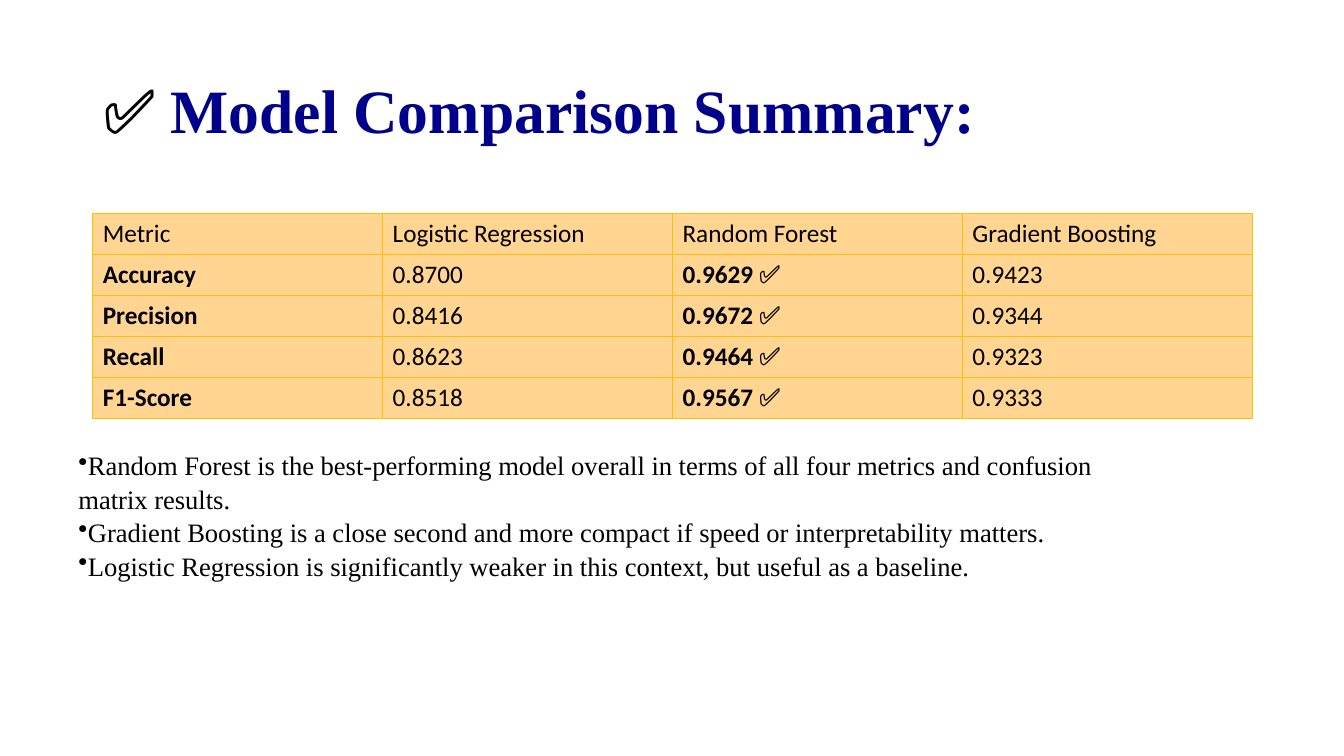
from dataclasses import dataclass

from lxml.etree import SubElement
from pptx import Presentation
from pptx.dml.color import RGBColor
from pptx.enum.text import MSO_ANCHOR as Anchor, MSO_AUTO_SIZE as Fit, PP_ALIGN as Align
from pptx.oxml.ns import qn
from pptx.slide import Slide
from pptx.util import Inches, Pt

BLACK = RGBColor(0x00, 0x00, 0x00)
NAVY = RGBColor(0x00, 0x00, 0x8B)
PEACH = RGBColor(0xFF, 0xD5, 0x91)
GOLD = RGBColor(0xFF, 0xC0, 0x00)
SANS, SERIF = "Calibri", "Times New Roman"
CHECK = "✅"


@dataclass
class Score:
    metric: str
    logistic: str
    forest: str
    boosting: str


HEADS = ["Metric", "Logistic Regression", "Random Forest", "Gradient Boosting"]
SCORES = [
    Score("Accuracy", "0.8700", "0.9629", "0.9423"),
    Score("Precision", "0.8416", "0.9672", "0.9344"),
    Score("Recall", "0.8623", "0.9464", "0.9323"),
    Score("F1-Score", "0.8518", "0.9567", "0.9333"),
]
NOTES = [
    "Random Forest is the best-performing model overall in terms of all four "
    "metrics and confusion matrix results.",
    "Gradient Boosting is a close second and more compact if speed or "
    "interpretability matters.",
    "Logistic Regression is significantly weaker in this context, but useful "
    "as a baseline.",
]


def style(run, size: float, face: str = SANS, color: RGBColor = BLACK,
          bold: bool = False) -> None:
    font = run.font
    font.size, font.name, font.bold = Pt(size), face, bold
    font.color.rgb = color


def add_title(slide: Slide) -> None:
    title = slide.shapes.title
    title.left, title.top = Inches(0.92), Inches(0.4)
    title.width, title.height = Inches(11.5), Inches(1.45)
    frame = title.text_frame
    frame.text = CHECK + " "
    frame.word_wrap, frame.auto_size = True, Fit.NONE
    frame.vertical_anchor = Anchor.MIDDLE
    para = frame.paragraphs[0]
    para.alignment, para.line_spacing = Align.LEFT, 0.9
    style(para.runs[0], 44)
    words = para.add_run()
    words.text = "Model Comparison Summary:"
    style(words, 44, SERIF, NAVY, True)


def add_edges(cell) -> None:
    props = cell._tc.get_or_add_tcPr()
    for rank, side in enumerate(("lnL", "lnR", "lnT", "lnB")):
        line = props.makeelement(qn(f"a:{side}"), {"w": str(Pt(0.5))})
        fill = SubElement(line, qn("a:solidFill"))
        SubElement(fill, qn("a:srgbClr"), val=str(GOLD))
        props.insert(rank, line)


def fill_cell(cell, text: str, bold: bool, best: bool) -> None:
    cell.text = text
    cell.vertical_anchor = Anchor.MIDDLE
    cell.fill.solid()
    cell.fill.fore_color.rgb = PEACH
    para = cell.text_frame.paragraphs[0]
    style(para.runs[0], 18, bold=bold)
    if best:
        mark = para.add_run()
        mark.text = " " + CHECK
        style(mark, 18)
    add_edges(cell)


def add_scores(slide: Slide) -> None:
    rows = [HEADS] + [[s.metric, s.logistic, s.forest, s.boosting] for s in SCORES]
    high = 0.4
    table = slide.shapes.add_table(
        len(rows), len(HEADS), Inches(0.92), Inches(2.12),
        Inches(11.5), Inches(high * len(rows))).table
    table.first_row = table.horz_banding = False
    for r, row in enumerate(rows):
        for c, text in enumerate(row):
            best = r > 0 and c == 2
            fill_cell(table.cell(r, c), text, r > 0 and c in (0, 2), best)


def add_notes(slide: Slide) -> None:
    box = slide.shapes.add_textbox(
        Inches(0.68), Inches(4.39), Inches(10.97), Inches(1.38))
    frame = box.text_frame
    frame.text = "\n".join(NOTES)
    frame.word_wrap, frame.auto_size = True, Fit.SHAPE_TO_FIT_TEXT
    for para in frame.paragraphs:
        para.line_spacing = 1.05
        SubElement(para._p.get_or_add_pPr(), qn("a:buChar"), char="•")
        style(para.runs[0], 19, SERIF)


def main() -> None:
    deck = Presentation()
    deck.slide_width, deck.slide_height = Inches(13.33), Inches(7.5)
    slide = deck.slides.add_slide(deck.slide_layouts[5])
    # Heading, score table, then findings
    add_title(slide)
    add_scores(slide)
    add_notes(slide)
    deck.save("out.pptx")


if __name__ == "__main__":
    main()
